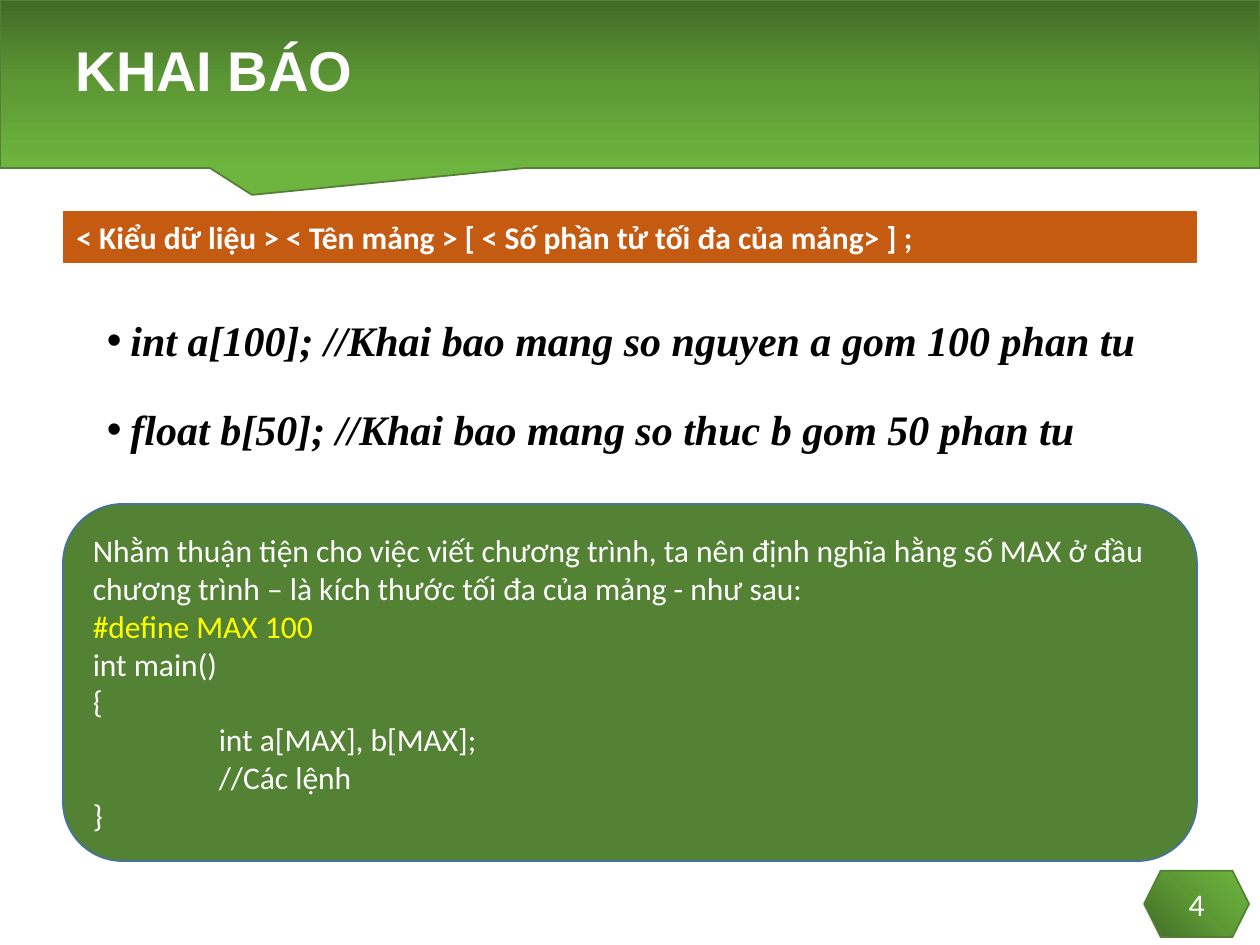
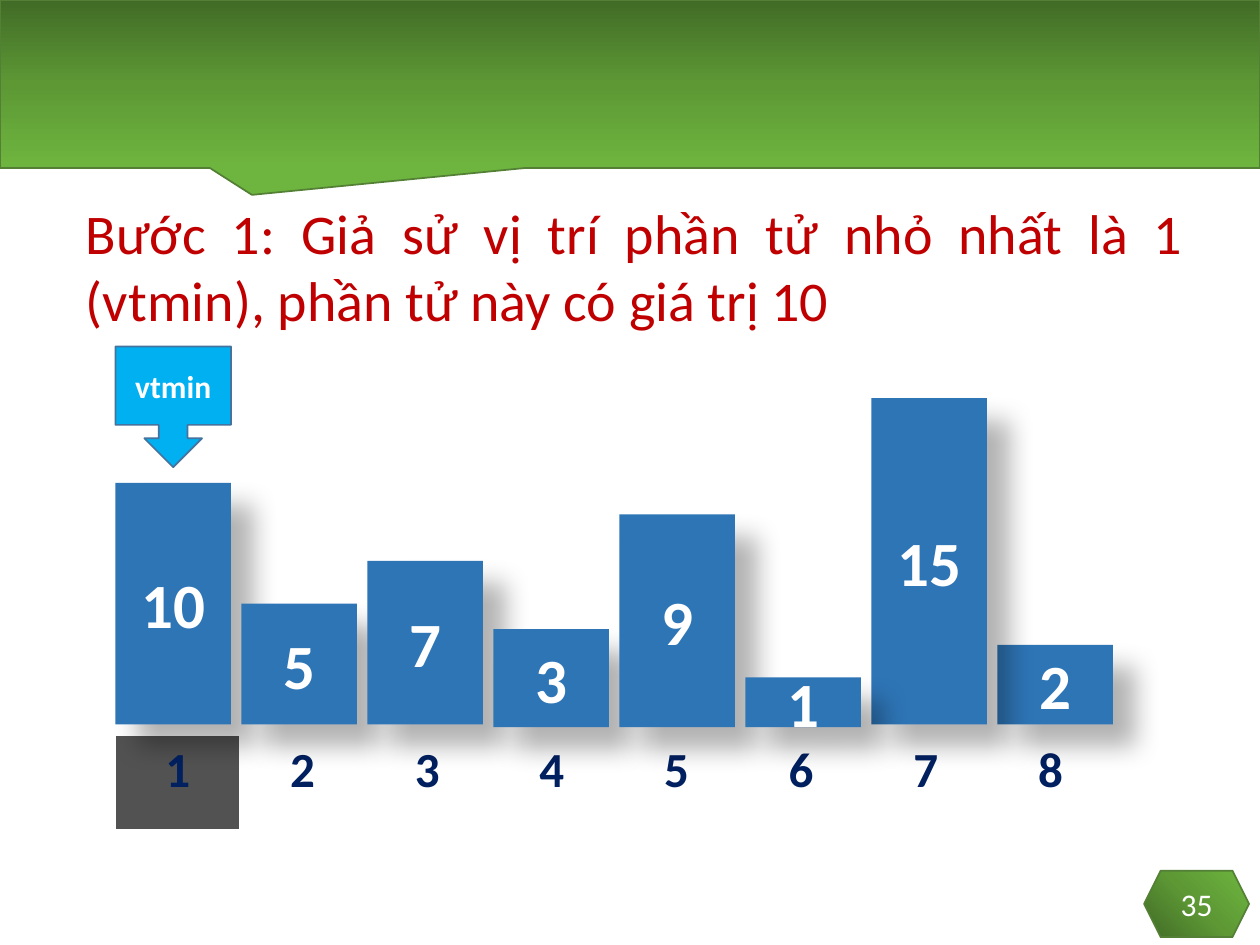
from dataclasses import dataclass
from typing import Optional

from lxml import etree
from pptx import Presentation
from pptx import util as u
from pptx.dml import color as dml
from pptx.enum import shapes as kinds
from pptx.enum import text as txt
from pptx.oxml import ns

Pt = u.Pt
COLORS = {
    "white": "FFFFFF", "black": "000000", "yellow": "FFFF00", "red": "C00000",
    "green_dark": "416B26", "green_mid": "5D9835", "green_light": "6EB53F",
    "green_edge": "538035", "panel": "548235", "orange": "C55A11",
    "blue_edge": "43739E", "bar": "2E75B6", "sky": "00B0F0",
    "navy": "002060", "current": "525252",
}
LINEAR = '<a:lin ang="5400000" scaled="0"/>'
CORNER = '<a:path path="circle"><a:fillToRect t="100000" r="100000"/></a:path>'
LEFT, CENTER = txt.PP_ALIGN.LEFT, txt.PP_ALIGN.CENTER
MIDDLE = txt.MSO_ANCHOR.MIDDLE


@dataclass(frozen=True)
class Box:
    left: float
    top: float
    width: float
    height: float

    def lengths(self) -> tuple:
        return Pt(self.left), Pt(self.top), Pt(self.width), Pt(self.height)


@dataclass(frozen=True)
class Style:
    size: float
    color: str
    bold: bool = False
    italic: bool = False
    font: str = "Calibri"
    align: txt.PP_ALIGN = LEFT


@dataclass(frozen=True)
class Bar:
    slot: int
    value: int
    height: float
    bottom: float = 414


TITLE = Style(32, "white", bold=True, font="Arial")
NUMBER = Style(18, "white", align=CENTER)
SYNTAX = Style(18, "white", bold=True)
EXAMPLE = Style(24, "black", bold=True, italic=True, font="Times New Roman")
CODE = Style(18, "white")
STEP = Style(32, "red", align=txt.PP_ALIGN.JUSTIFY)
VALUE = Style(36, "white", bold=True, align=CENTER)
INDEX = Style(28, "navy", bold=True, align=CENTER)
POINTER = Style(18, "white", bold=True, align=CENTER)

EXAMPLES = (
    "int a[100]; //Khai bao mang so nguyen a gom 100 phan tu",
    "float b[50]; //Khai bao mang so thuc b gom 50 phan tu",
)
CODE_LINES = (
    "Nhằm thuận tiện cho việc viết chương trình, ta nên định nghĩa hằng số MAX "
    "ở đầu chương trình – là kích thước tối đa của mảng - như sau:",
    "#define MAX 100", "int main()", "{", "int a[MAX], b[MAX];", "//Các lệnh", "}",
)
DEFINE_LINE = 1
INDENTED_LINES = (4, 5)
BARS = (
    Bar(0, 10, 138), Bar(1, 5, 69), Bar(2, 7, 93.5), Bar(3, 3, 56, 415.5),
    Bar(4, 9, 121.5, 415.5), Bar(7, 2, 45.5), Bar(6, 15, 186.5),
    Bar(5, 1, 28.5, 415.5),
)
BAR_LEFT, BAR_STEP, BAR_WIDTH = 66, 72, 66


def rgb(name: str) -> dml.RGBColor:
    return dml.RGBColor.from_string(COLORS[name])


def xml(body: str):
    head, rest = body.split(">", 1) if "/>" not in body.split(">", 1)[0] + ">" else (body[:-2], None)
    tail = "/>" if rest is None else ">" + rest
    return etree.fromstring(f"{head} {ns.nsdecls('a')}{tail}")


def format_para(para, style: Style) -> None:
    para.alignment = style.align
    for span in para.runs:
        font = span.font
        font.name, font.size = style.font, Pt(style.size)
        font.bold, font.italic = style.bold, style.italic
        font.color.rgb = rgb(style.color)


def write(frame, content: str, style: Style) -> None:
    frame.word_wrap = True
    frame.text = content
    for para in frame.paragraphs:
        format_para(para, style)


def add_box(page, kind, box: Box, fill: str, line: Optional[str] = None,
            content: str = "", style: Style = CODE, weight: float = 1):
    shape = page.shapes.add_shape(kind, *box.lengths())
    shape.shadow.inherit = False
    shape.fill.solid()
    shape.fill.fore_color.rgb = rgb(fill)
    if line:
        shape.line.color.rgb = rgb(line)
        shape.line.width = Pt(weight)
    else:
        shape.line.fill.background()
    shape.text_frame.vertical_anchor = MIDDLE
    if content:
        write(shape.text_frame, content, style)
    return shape


def add_text(page, box: Box, content: str, style: Style):
    shape = page.shapes.add_textbox(*box.lengths())
    write(shape.text_frame, content, style)
    return shape


def set_green_gradient(shape, direction: str) -> None:
    names = ("green_dark", "green_mid", "green_light")
    stops = "".join(
        f'<a:gs pos="{i * 50000}"><a:srgbClr val="{COLORS[name]}"/></a:gs>'
        for i, name in enumerate(names))
    solid = shape.element.spPr.find(ns.qn("a:solidFill"))
    gradient = xml(f"<a:gradFill><a:gsLst>{stops}</a:gsLst>{direction}</a:gradFill>")
    solid.getparent().replace(solid, gradient)


def set_bar_shadow(shape) -> None:
    effects = shape.element.spPr.find(ns.qn("a:effectLst"))
    effects.append(xml(
        f'<a:outerShdw blurRad="{Pt(15)}" dist="{Pt(18)}" dir="2700000" algn="tl" '
        f'rotWithShape="0"><a:srgbClr val="{COLORS["black"]}">'
        '<a:alpha val="30000"/></a:srgbClr></a:outerShdw>'))


def set_bullet(para) -> None:
    props = para._p.get_or_add_pPr()
    props.set("marL", str(Pt(13.5)))
    props.set("indent", str(-Pt(13.5)))
    props.append(xml('<a:buFont typeface="Arial"/>'))
    props.append(xml('<a:buChar char="•"/>'))


def add_page(deck, number: int, title: str = ""):
    page = deck.slides.add_slide(deck.slide_layouts[5 if title else 6])
    band = add_box(page, kinds.MSO_SHAPE.RECTANGULAR_CALLOUT, Box(0, 0, 720, 96),
                   "green_mid", "green_edge")
    band.adjustments[0], band.adjustments[1] = -0.3, 0.66
    set_green_gradient(band, LINEAR)
    badge = add_box(page, kinds.MSO_SHAPE.HEXAGON, Box(653.75, 497.5, 60, 38),
                    "green_mid", "green_edge", str(number), NUMBER)
    set_green_gradient(badge, CORNER)
    if title:
        heading = page.shapes.title
        heading.left, heading.top, heading.width, heading.height = Box(36, 0, 666, 84).lengths()
        heading.text_frame.vertical_anchor = MIDDLE
        write(heading.text_frame, title, TITLE)
        heading.text_frame.paragraphs[0].line_spacing = 0.9
        heading.element.getparent().append(heading.element)
    return page


def build_declaration(deck) -> None:
    page = add_page(deck, 4, "KHAI BÁO")
    examples = add_text(page, Box(54, 162, 654, 120), "\n".join(EXAMPLES), EXAMPLE)
    for para in examples.text_frame.paragraphs:
        para.line_spacing, para.space_before = 1.5, Pt(7.5)
        set_bullet(para)
    add_box(page, kinds.MSO_SHAPE.RECTANGLE, Box(36.5, 121, 647, 29), "orange", "orange",
            "< Kiểu dữ liệu > < Tên mảng > [ < Số phần tử tối đa của mảng> ] ;",
            SYNTAX, 0.75)
    panel = add_box(page, kinds.MSO_SHAPE.ROUNDED_RECTANGLE, Box(36, 288, 648, 204),
                    "panel", "blue_edge", "\n".join(CODE_LINES), CODE)
    lines = panel.text_frame.paragraphs
    lines[DEFINE_LINE].runs[0].font.color.rgb = rgb("yellow")
    for i in INDENTED_LINES:
        lines[i]._p.get_or_add_pPr().set("marL", str(Pt(72)))


def add_indexes(page) -> None:
    table = page.shapes.add_table(1, len(BARS), *Box(66, 420, 570, 54).lengths()).table
    table.horz_banding = False
    for i, cell in enumerate(table.iter_cells()):
        write(cell.text_frame, str(i + 1), INDEX)
        if i == 0:
            cell.fill.solid()
            cell.fill.fore_color.rgb = rgb("current")
        else:
            cell.fill.background()


def build_first_step(deck) -> None:
    page = add_page(deck, 35)
    add_indexes(page)
    for bar in BARS:
        box = Box(BAR_LEFT + bar.slot * BAR_STEP, bar.bottom - bar.height,
                  BAR_WIDTH, bar.height)
        set_bar_shadow(add_box(page, kinds.MSO_SHAPE.RECTANGLE, box, "bar",
                               content=str(bar.value), style=VALUE))
    add_text(page, Box(42, 110, 642, 85),
             "Bước 1: Giả sử vị trí phần tử nhỏ nhất là 1 (vtmin), "
             "phần tử này có giá trị 10", STEP)
    add_box(page, kinds.MSO_SHAPE.DOWN_ARROW_CALLOUT, Box(BAR_LEFT, 198, BAR_WIDTH, 69),
            "sky", "blue_edge", "vtmin", POINTER)


def main() -> None:
    deck = Presentation()
    deck.slide_width, deck.slide_height = Pt(720), Pt(540)
    build_declaration(deck)
    build_first_step(deck)
    deck.save("out.pptx")


if __name__ == "__main__":
    main()
